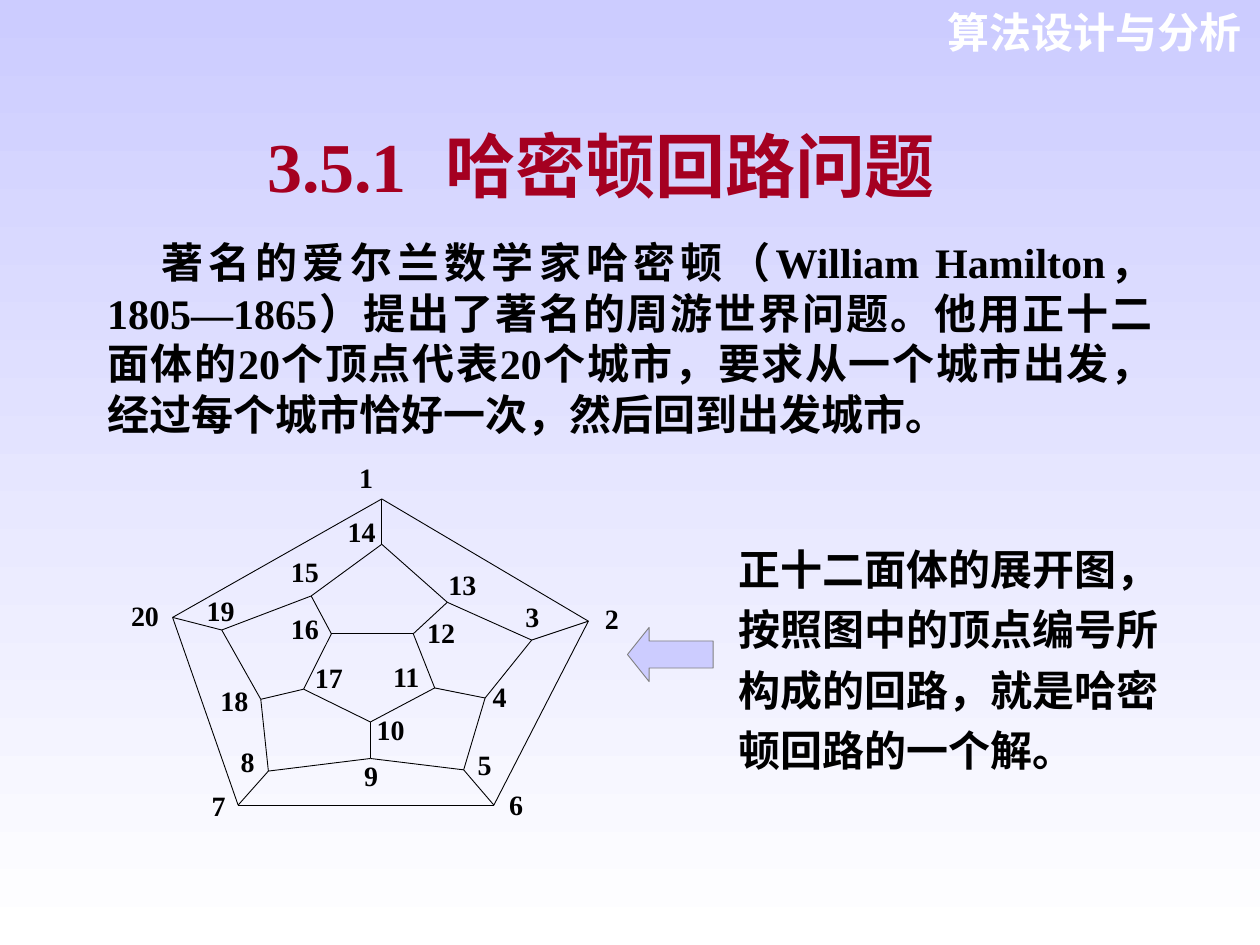
from lxml import etree
from pptx import Presentation
from pptx.dml.color import RGBColor
from pptx.enum.shapes import MSO_CONNECTOR, MSO_SHAPE
from pptx.enum.text import MSO_ANCHOR, MSO_AUTO_SIZE, PP_ALIGN
from pptx.oxml.ns import qn
from pptx.util import Inches, Pt

STRAIGHT, LEFT_ARROW = MSO_CONNECTOR.STRAIGHT, MSO_SHAPE.LEFT_ARROW
LEFT, CENTER, RIGHT, JUSTIFY = PP_ALIGN.LEFT, PP_ALIGN.CENTER, PP_ALIGN.RIGHT, PP_ALIGN.JUSTIFY
TOP, NO_RESIZE = MSO_ANCHOR.TOP, MSO_AUTO_SIZE.NONE

THEME = {
    "lavender": RGBColor(0xCC, 0xCC, 0xFF),
    "white": RGBColor(0xFF, 0xFF, 0xFF),
    "red": RGBColor(0xA5, 0x00, 0x21),
    "black": RGBColor(0x00, 0x00, 0x00),
    "gray": RGBColor(0x80, 0x80, 0x80),
    "title": 40, "body": 24, "label": 16, "line": 0.5,
    "serif": "Times New Roman", "sans": "Arial", "chinese": "Noto Sans CJK SC",
}

# Content
COURSE = "算法设计与分析"
TITLE = ("3.5.1", " ", "哈密顿回路问题")
BODY = ("著名的爱尔兰数学家哈密顿（William Hamilton，1805—1865）提出了著名的周游世界问题。"
        "他用正十二面体的20个顶点代表20个城市，要求从一个城市出发，"
        "经过每个城市恰好一次，然后回到出发城市。")
REMARK = "正十二面体的展开图，按照图中的顶点编号所构成的回路，就是哈密顿回路的一个解。"

# City number: (vertex position, top left of its label), in inches
CITIES = {
    1: ((3.03, 3.96), (2.85, 3.72)), 2: ((4.67, 4.93), (4.80, 4.84)),
    3: ((4.22, 5.08), (4.17, 4.83)), 4: ((3.85, 5.54), (3.91, 5.46)),
    5: ((3.68, 6.11), (3.79, 6.00)), 6: ((3.92, 6.39), (4.04, 6.32)),
    7: ((1.89, 6.39), (1.68, 6.33)), 8: ((2.13, 6.12), (1.91, 5.98)),
    9: ((2.94, 6.02), (2.89, 6.09)), 10: ((2.94, 5.73), (2.99, 5.72)),
    11: ((3.45, 5.46), (3.12, 5.30)), 12: ((3.28, 5.03), (3.39, 4.95)),
    13: ((3.55, 4.78), (3.56, 4.57)), 14: ((3.03, 4.32), (2.76, 4.15)),
    15: ((2.47, 4.73), (2.31, 4.47)), 16: ((2.63, 5.03), (2.31, 4.92)),
    17: ((2.41, 5.47), (2.50, 5.31)), 18: ((2.07, 5.55), (1.75, 5.49)),
    19: ((1.76, 5.00), (1.64, 4.78)), 20: ((1.37, 4.90), (1.04, 4.82)),
}
# The circuit visits the cities in order; the other edges are chords
CIRCUIT = [(city, city % len(CITIES) + 1) for city in CITIES]
CHORDS = [(1, 14), (2, 6), (3, 13), (4, 11), (5, 9),
          (7, 20), (8, 18), (10, 17), (12, 16), (15, 19)]


def place(shape, left, top, width, height, margins=(0.1, 0.05)):
    shape.left, shape.top = Inches(left), Inches(top)
    shape.width, shape.height = Inches(width), Inches(height)
    frame = shape.text_frame
    frame.word_wrap, frame.auto_size, frame.vertical_anchor = True, NO_RESIZE, TOP
    frame.margin_left = frame.margin_right = Inches(margins[0])
    frame.margin_top = frame.margin_bottom = Inches(margins[1])
    return frame.paragraphs[0]


def style(paragraph, size, color, align, spacing, latin="serif"):
    paragraph.alignment = align
    paragraph.space_before = Pt(0)
    paragraph.line_spacing = spacing
    font = paragraph.font
    font.size, font.bold, font.name = Pt(THEME[size]), True, THEME[latin]
    font.color.rgb = THEME[color]
    defaults = paragraph._p.pPr.find(qn("a:defRPr"))
    etree.SubElement(defaults, qn("a:ea")).set("typeface", THEME["chinese"])


def add_text(slide, text, box, margins=(0.1, 0.05), **look):
    shape = slide.shapes.add_textbox(0, 0, 0, 0)
    paragraph = place(shape, *box, margins)
    paragraph.text = text
    style(paragraph, **look)


def add_edge(slide, start, end):
    points = [Inches(value) for city in (start, end) for value in CITIES[city][0]]
    edge = slide.shapes.add_connector(STRAIGHT, *points)
    edge.line.color.rgb, edge.line.width = THEME["black"], Pt(THEME["line"])
    etree.SubElement(edge._element.spPr, qn("a:effectLst"))


def main():
    presentation = Presentation()
    presentation.slide_width, presentation.slide_height = Inches(10), Inches(7.5)
    slide = presentation.slides.add_slide(presentation.slide_layouts[1])

    # Background
    background = slide.background.fill
    background.gradient()
    background.gradient_angle = 270
    for stop, color, position in zip(background.gradient_stops, ("lavender", "white"), (0, 1)):
        stop.color.rgb, stop.position = THEME[color], position

    # Course name
    add_text(slide, COURSE, (7.24, 0, 2.71, 0.5), size="body", color="white",
             align=RIGHT, spacing=Pt(28.8), latin="sans")

    # Title, with a widened space after its number
    paragraph = place(slide.shapes.title, 1.02, 0.92, 7.5, 0.77)
    for text in TITLE:
        run = paragraph.add_run()
        run.text = text
        if text == " ":
            run._r.get_or_add_rPr().set("spc", "1200")
    style(paragraph, "title", "red", CENTER, Pt(48))

    # Introduction
    paragraph = place(slide.placeholders[1], 0.75, 1.83, 8.5, 1.7)
    paragraph.text = BODY
    properties = paragraph._p.get_or_add_pPr()
    properties.set("marL", "0")
    properties.set("indent", str(Inches(0.43)))
    etree.SubElement(properties, qn("a:buNone"))
    style(paragraph, "body", "black", JUSTIFY, Pt(28.8))

    # Graph of the dodecahedron
    for start, end in CIRCUIT + CHORDS:
        add_edge(slide, start, end)
    for city, (_, corner) in CITIES.items():
        add_text(slide, str(city), (*corner, 0.3, 0.19), (0, 0), size="label",
                 color="black", align=JUSTIFY, spacing=0.72)

    # Remark and arrow to the graph
    add_text(slide, REMARK, (5.76, 4.18, 3.72, 2.02), size="body", color="black",
             align=LEFT, spacing=Pt(34.6))
    arrow = slide.shapes.add_shape(LEFT_ARROW, Inches(4.98), Inches(4.98),
                                   Inches(0.68), Inches(0.43))
    arrow.adjustments[0], arrow.adjustments[1] = 0.5, 0.4
    arrow.shadow.inherit = False
    arrow.fill.solid()
    arrow.fill.fore_color.rgb = THEME["lavender"]
    arrow.line.color.rgb, arrow.line.width = THEME["gray"], Pt(THEME["line"])

    presentation.save("out.pptx")


if __name__ == "__main__":
    main()
